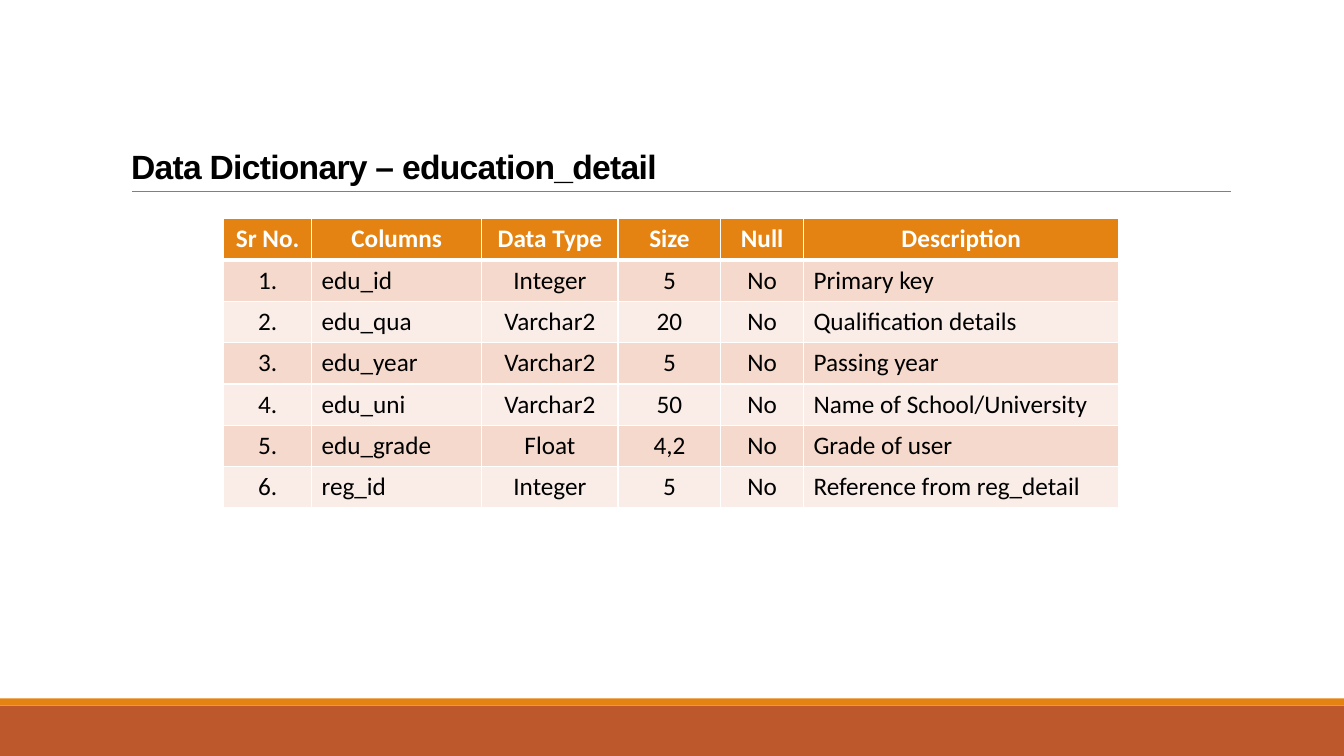
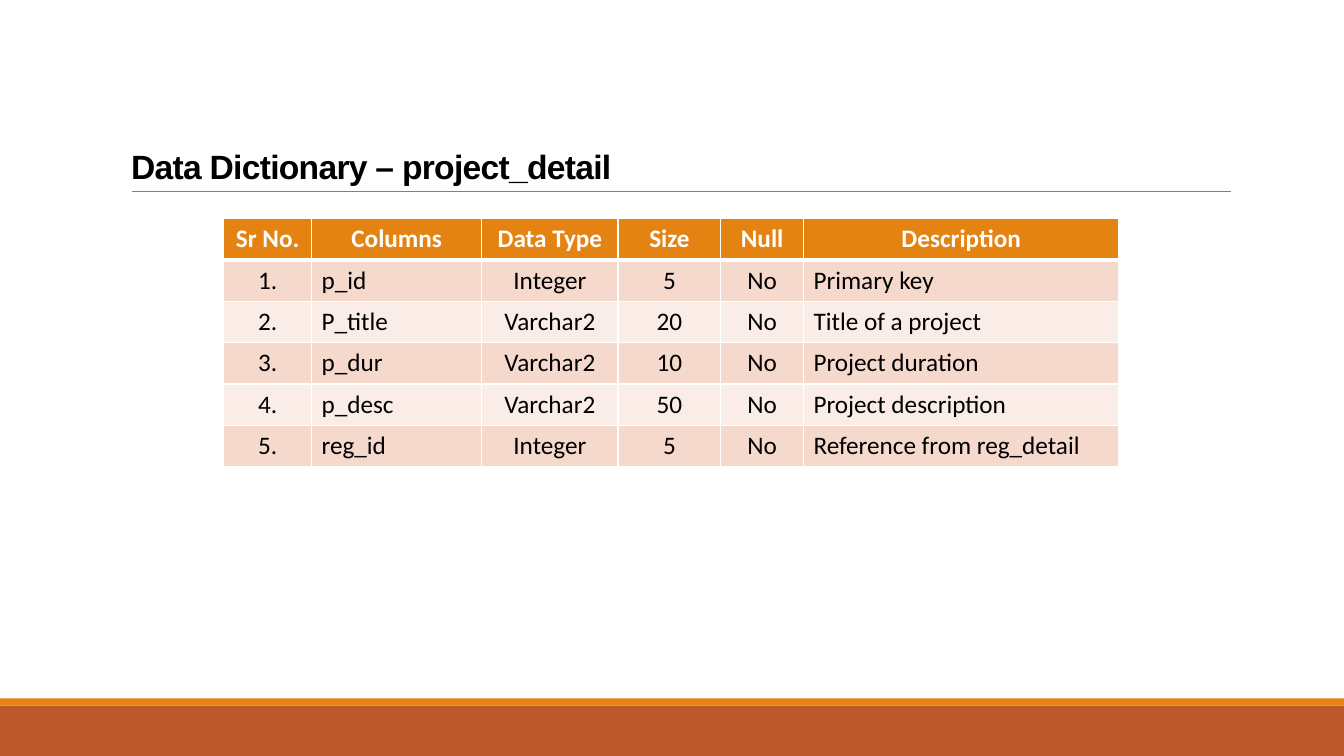
from lxml import etree
from pptx import Presentation
from pptx.dml.color import RGBColor
from pptx.enum.shapes import MSO_CONNECTOR, MSO_SHAPE
from pptx.enum.text import MSO_ANCHOR, MSO_AUTO_SIZE, PP_ALIGN
from pptx.oxml.ns import qn
from pptx.util import Inches, Pt

RECTANGLE = MSO_SHAPE.RECTANGLE
STRAIGHT = MSO_CONNECTOR.STRAIGHT
BOTTOM = MSO_ANCHOR.BOTTOM
NO_AUTOFIT = MSO_AUTO_SIZE.NONE
LEFT, CENTER = PP_ALIGN.LEFT, PP_ALIGN.CENTER

WHITE = RGBColor(0xFF, 0xFF, 0xFF)
BLACK = RGBColor(0x00, 0x00, 0x00)
GRAY = RGBColor(0x80, 0x80, 0x80)
ORANGE = RGBColor(0xE4, 0x83, 0x12)
RUST = RGBColor(0xBD, 0x58, 0x2C)
ROW_FILLS = [RGBColor(0xF5, 0xD9, 0xCC), RGBColor(0xFA, 0xED, 0xE7)]

TITLE_FONT = {"name": "Arial", "size": Pt(24), "bold": True}
HEADER_FONT = {"name": "Calibri", "size": Pt(18), "bold": True}
BODY_FONT = {"name": "Calibri", "size": Pt(18), "bold": False}

SLIDE_WIDTH = 13.33
FOOTER_BANDS = [(7, 0.5, RUST), (6.93, 0.07, ORANGE)]

TABLE_LEFT, TABLE_TOP, ROW_HEIGHT = 2.22, 2.17, 0.41
COLUMNS = [
    ("Sr No.", 0.87, CENTER),
    ("Columns", 1.69, LEFT),
    ("Data Type", 1.35, CENTER),
    ("Size", 1.02, CENTER),
    ("Null", 0.82, CENTER),
    ("Description", 3.13, LEFT),
]
HEADINGS = [heading for heading, _, _ in COLUMNS]
TABLE_WIDTH = sum(width for _, width, _ in COLUMNS)

DICTIONARIES = {
    "education_detail": [
        ("edu_id", "Integer", "5", "No", "Primary key"),
        ("edu_qua", "Varchar2", "20", "No", "Qualification details"),
        ("edu_year", "Varchar2", "5", "No", "Passing year"),
        ("edu_uni", "Varchar2", "50", "No", "Name of School/University"),
        ("edu_grade", "Float", "4,2", "No", "Grade of user"),
        ("reg_id", "Integer", "5", "No", "Reference from reg_detail"),
    ],
    "project_detail": [
        ("p_id", "Integer", "5", "No", "Primary key"),
        ("P_title", "Varchar2", "20", "No", "Title of a project"),
        ("p_dur", "Varchar2", "10", "No", "Project duration"),
        ("p_desc", "Varchar2", "50", "No", "Project description"),
        ("reg_id", "Integer", "5", "No", "Reference from reg_detail"),
    ],
}


def format_font(font, values, color):
    for attribute, value in values.items():
        setattr(font, attribute, value)
    font.color.rgb = color


def add_borders(cell, widths):
    """Draw white cell borders; widths maps L, R, T, B (in that order) to points."""
    properties = cell._tc.get_or_add_tcPr()
    for side, width in widths.items():
        border = etree.SubElement(properties, qn(f"a:ln{side}"), w=str(Pt(width)))
        fill = etree.SubElement(border, qn("a:solidFill"))
        etree.SubElement(fill, qn("a:srgbClr"), val=str(WHITE))


prs = Presentation()
prs.slide_width, prs.slide_height = Inches(SLIDE_WIDTH), Inches(7.5)
title_only = prs.slide_layouts[5]

for table_name, fields in DICTIONARIES.items():
    slide = prs.slides.add_slide(title_only)

    for top, height, color in FOOTER_BANDS:
        band = slide.shapes.add_shape(
            RECTANGLE, 0, Inches(top), Inches(SLIDE_WIDTH), Inches(height))
        band.shadow.inherit = False
        band.fill.solid()
        band.fill.fore_color.rgb = color
        band.line.fill.background()

    title_rule = slide.shapes.add_connector(
        STRAIGHT, Inches(1.31), Inches(1.9), Inches(12.21), Inches(1.9))
    title_rule.line.color.rgb = GRAY
    title_rule.line.width = Pt(0.5)
    etree.SubElement(title_rule._element.spPr, qn("a:effectLst"))

    title = slide.shapes.title
    title.left, title.top = Inches(1.2), Inches(0.31)
    title.width, title.height = Inches(11), Inches(1.59)
    title.text_frame.auto_size = NO_AUTOFIT
    title.text_frame.vertical_anchor = BOTTOM
    heading_line = title.text_frame.paragraphs[0]
    heading_line.alignment = LEFT
    heading_line.line_spacing = 0.85
    heading_run = heading_line.add_run()
    heading_run.text = f"Data Dictionary – {table_name}"
    format_font(heading_run.font, TITLE_FONT, BLACK)
    heading_run._r.get_or_add_rPr().set("spc", "-50")

    rows = [HEADINGS] + [(f"{n}.", *field) for n, field in enumerate(fields, 1)]
    dictionary = slide.shapes.add_table(
        len(rows), len(COLUMNS), Inches(TABLE_LEFT), Inches(TABLE_TOP),
        Inches(TABLE_WIDTH), Inches(ROW_HEIGHT * len(rows))).table
    for column, (_, width, _) in zip(dictionary.columns, COLUMNS):
        column.width = Inches(width)

    for r, row in enumerate(rows):
        dictionary.rows[r].height = Inches(ROW_HEIGHT)
        is_header = r == 0
        for c, text in enumerate(row):
            cell = dictionary.cell(r, c)
            add_borders(cell, {"L": 1, "R": 1, "T": 3 if r == 1 else 1,
                               "B": 3 if is_header else 1})
            cell.fill.solid()
            cell.fill.fore_color.rgb = ORANGE if is_header else ROW_FILLS[(r - 1) % 2]
            cell.text = text
            paragraph = cell.text_frame.paragraphs[0]
            paragraph.alignment = CENTER if is_header else COLUMNS[c][2]
            format_font(paragraph.runs[0].font,
                        HEADER_FONT if is_header else BODY_FONT,
                        WHITE if is_header else BLACK)

prs.save("out.pptx")
